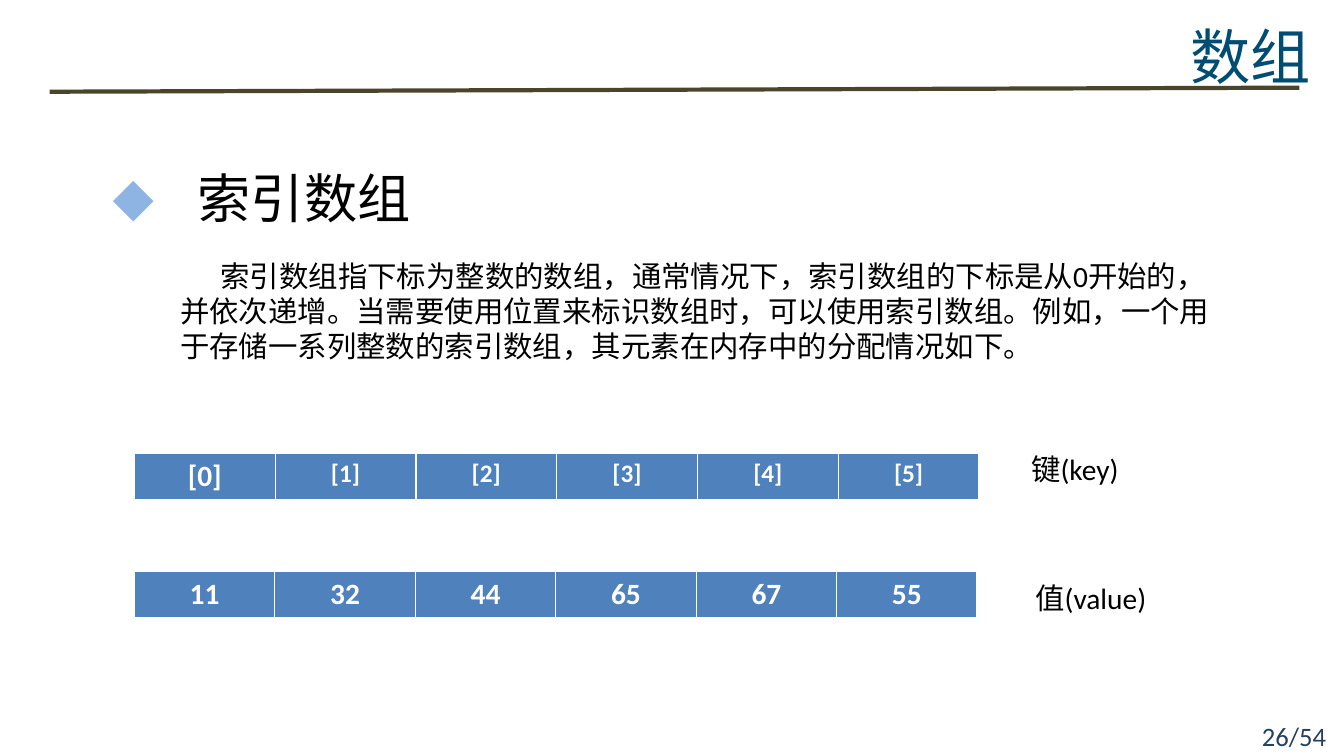
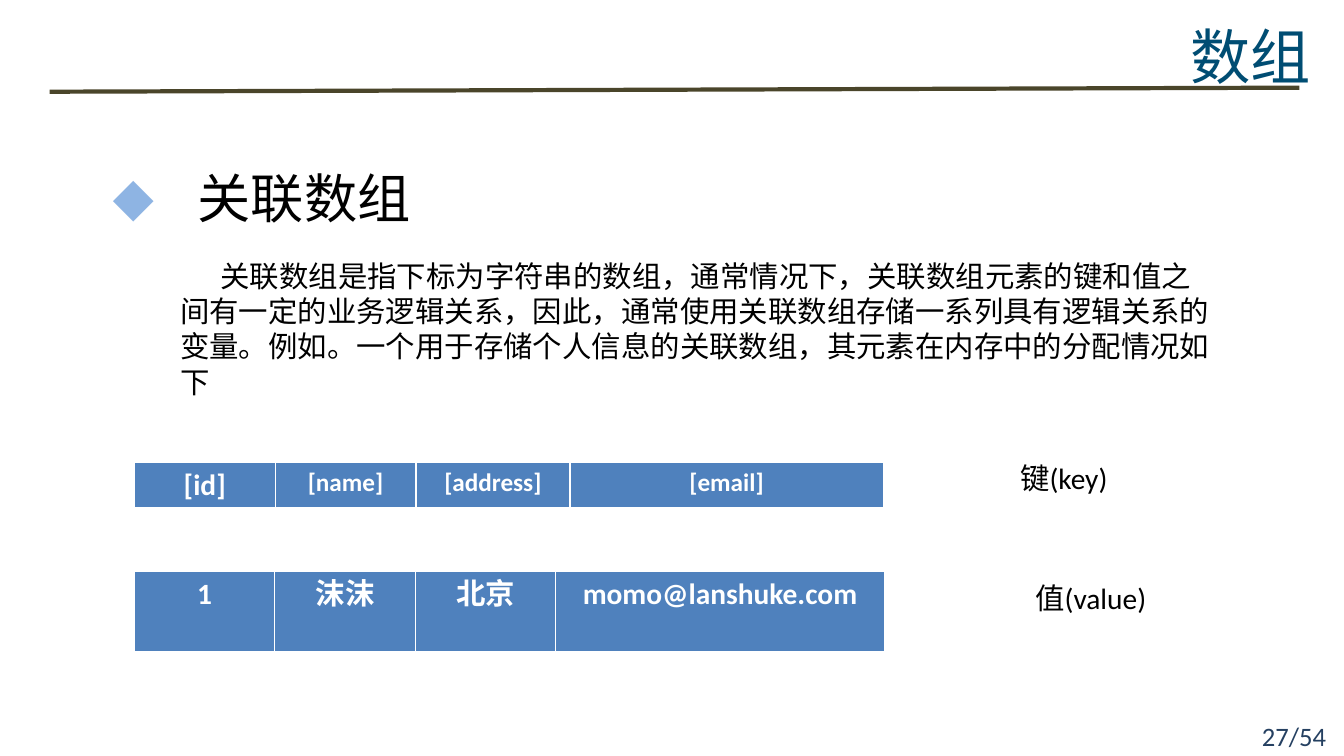
from lxml.etree import SubElement
from pptx import Presentation
from pptx.dml.color import RGBColor
from pptx.enum.shapes import MSO_CONNECTOR as Connector
from pptx.enum.text import MSO_ANCHOR as Anchor, MSO_AUTO_SIZE as AutoSize, PP_ALIGN as Align
from pptx.oxml.ns import qn
from pptx.util import Inches, Pt

COLUMNS, ROWS = 80, 45
WIDTH, HEIGHT = Inches(13.33), Inches(7.5)
LATIN, HAN = "Calibri", "Noto Sans CJK SC"
BLACK, WHITE = "000000", "FFFFFF"
TITLE_BLUE, PAGE_BLUE, CELL_BLUE, BULLET_BLUE = "004D73", "254061", "4F81BD", "8EB4E3"
RULE_BROWN = "4A452A"
TEXT_SIZE, KEY_SIZE = 21, 18
INSETS = (0.12, 0.06, 0.12, 0.06)
CELL_INSETS = (0.13, 0.05, 0.13, 0.05)
PAGE_COUNT = 54

TOPICS = [
    dict(
        page=26,
        heading="索引数组",
        description="索引数组指下标为整数的数组，通常情况下，索引数组的下标是从0开始的，并依次递增。"
        "当需要使用位置来标识数组时，可以使用索引数组。"
        "例如，一个用于存储一系列整数的索引数组，其元素在内存中的分配情况如下。",
        keys=["[0]", "[1]", "[2]", "[3]", "[4]", "[5]"],
        key_widths=[8.38] * 6,
        key_top=27,
        key_label=(60.66, 26.5),
        values=["11", "32", "44", "65", "67", "55"],
        value_widths=[8.36] * 6,
        value_height=2.7,
    ),
    dict(
        page=27,
        heading="关联数组",
        description="关联数组是指下标为字符串的数组，通常情况下，关联数组元素的键和值之间有一定的业务逻辑关系，"
        "因此，通常使用关联数组存储一系列具有逻辑关系的变量。"
        "例如。一个用于存储个人信息的关联数组，其元素在内存中的分配情况如下",
        keys=["[id]", "[name]", "[address]", "[email]"],
        key_widths=[8.38, 8.38, 9.17, 18.65],
        key_top=27.5,
        key_label=(60, 27),
        values=["1", "沫沫", "北京", "momo@lanshuke.com"],
        value_widths=[8.36, 8.36, 8.36, 19.56],
        value_height=4.8,
    ),
]


def color(hex_code):
    """Turn a hex string into a colour."""
    return RGBColor.from_string(hex_code)


def across(columns):
    """Return the length of a number of grid columns."""
    return round(WIDTH * columns / COLUMNS)


def down(rows):
    """Return the length of a number of grid rows."""
    return round(HEIGHT * rows / ROWS)


def place(box):
    """Convert a grid box into left, top, width and height."""
    left, top, width, height = box
    return across(left), down(top), across(width), down(height)


def set_insets(holder, insets):
    """Set the four inner margins of a text frame or cell."""
    sides = ("margin_left", "margin_top", "margin_right", "margin_bottom")
    for side, inset in zip(sides, insets):
        setattr(holder, side, Inches(inset))


def write(frame, text, size, hex_code, align=Align.LEFT, font=LATIN, bold=False):
    """Write one formatted run and return its paragraph."""
    paragraph = frame.paragraphs[0]
    paragraph.alignment = align
    paragraph.space_before = Pt(0)
    run = paragraph.add_run()
    run.text = text
    run.font.size, run.font.bold, run.font.name = Pt(size), bold, font
    run.font.color.rgb = color(hex_code)
    SubElement(run.font._element, qn("a:ea"), typeface=font)
    return paragraph


def prepare(holder, insets=INSETS, anchor=Anchor.TOP):
    """Set wrapping, margins and anchor of a shape's text frame."""
    frame = holder.text_frame
    frame.word_wrap, frame.auto_size = True, AutoSize.NONE
    frame.vertical_anchor = anchor
    set_insets(frame, insets)
    return frame


def move(holder, box):
    """Move a placeholder to a grid box."""
    holder.left, holder.top, holder.width, holder.height = place(box)
    return holder


def add_text(slide, box, text, size=TEXT_SIZE, hex_code=BLACK, align=Align.LEFT, anchor=Anchor.TOP):
    """Add a text box and return its paragraph."""
    frame = prepare(slide.shapes.add_textbox(*place(box)), anchor=anchor)
    return write(frame, text, size, hex_code, align)


def add_header(slide, box):
    """Place the title and the rule that closes the header."""
    left, top, width, height = box
    rule = slide.shapes.add_connector(
        Connector.STRAIGHT,
        across(left), down(top + height),
        across(left + width), down(top + height - 0.24),
    )
    rule.line.color.rgb, rule.line.width = color(RULE_BROWN), Pt(3)
    SubElement(rule._element.spPr, qn("a:effectLst"))
    title = move(slide.shapes.title, (left + width / 2 - 3.5, top, width / 2 + 4.15, 3.96))
    frame = prepare(title, (0, 0, 0, 0.06))
    write(frame, "数组", 43, TITLE_BLUE, Align.RIGHT, HAN).line_spacing = Pt(42.9)


def add_heading(slide, box, text):
    """Place the heading with its diamond bullet in the body placeholder."""
    frame = prepare(move(slide.placeholders[1], box))
    properties = write(frame, text, 38, BLACK)._p.get_or_add_pPr()
    properties.set("marL", str(Inches(0.84)))
    properties.set("indent", str(-Inches(0.84)))
    SubElement(SubElement(properties, qn("a:buClr")), qn("a:srgbClr"), val=BULLET_BLUE)
    SubElement(properties, qn("a:buFont"), typeface=LATIN)
    SubElement(properties, qn("a:buChar"), char="◆")


def add_description(slide, box, text):
    """Add the explanation with its first line indented."""
    paragraph = add_text(slide, box, text)
    paragraph._p.get_or_add_pPr().set("indent", str(Inches(0.4)))


def add_cells(slide, left, top, widths, height, entries, sizes):
    """Add a one-row table of array cells."""
    box = (left, top, sum(widths), height)
    table = slide.shapes.add_table(1, len(entries), *place(box)).table
    for index, (entry, width, size) in enumerate(zip(entries, widths, sizes)):
        table.columns[index].width = across(width)
        cell = table.cell(0, index)
        cell.fill.solid()
        cell.fill.fore_color.rgb = color(CELL_BLUE)
        set_insets(cell, CELL_INSETS)
        write(cell.text_frame, entry, size, WHITE, Align.CENTER, bold=True)


def add_memory(slide, left, topic):
    """Add the value and key rows with their labels."""
    values, keys = topic["values"], topic["keys"]
    add_cells(slide, left, 34, topic["value_widths"], topic["value_height"],
              values, [TEXT_SIZE] * len(values))
    add_cells(slide, left, topic["key_top"], topic["key_widths"], 2.7,
              keys, [TEXT_SIZE] + [KEY_SIZE] * (len(keys) - 1))
    add_text(slide, (*topic["key_label"], 9.9, 2.8), "键(key)")
    add_text(slide, (60.9, 34.2, 10.45, 2.8), "值(value)")


def add_topic_slide(deck, topic):
    """Build one slide about a kind of array."""
    slide = deck.slides.add_slide(deck.slide_layouts[1])
    add_header(slide, (2.95, 1.86, 74.4, 3.6))
    add_text(slide, (61, 42.6, 18.65, 2.4), f"{topic['page']}/{PAGE_COUNT}",
             19, PAGE_BLUE, Align.RIGHT, Anchor.MIDDLE)
    add_heading(slide, (6, 9.5, 29.1, 4.55), topic["heading"])
    add_description(slide, (10, 15, 63.2, 9), topic["description"])
    add_memory(slide, 8, topic)


def main():
    """Build and save the presentation."""
    deck = Presentation()
    deck.slide_width, deck.slide_height = WIDTH, HEIGHT
    for topic in TOPICS:
        add_topic_slide(deck, topic)
    deck.save("out.pptx")


if __name__ == "__main__":
    main()
